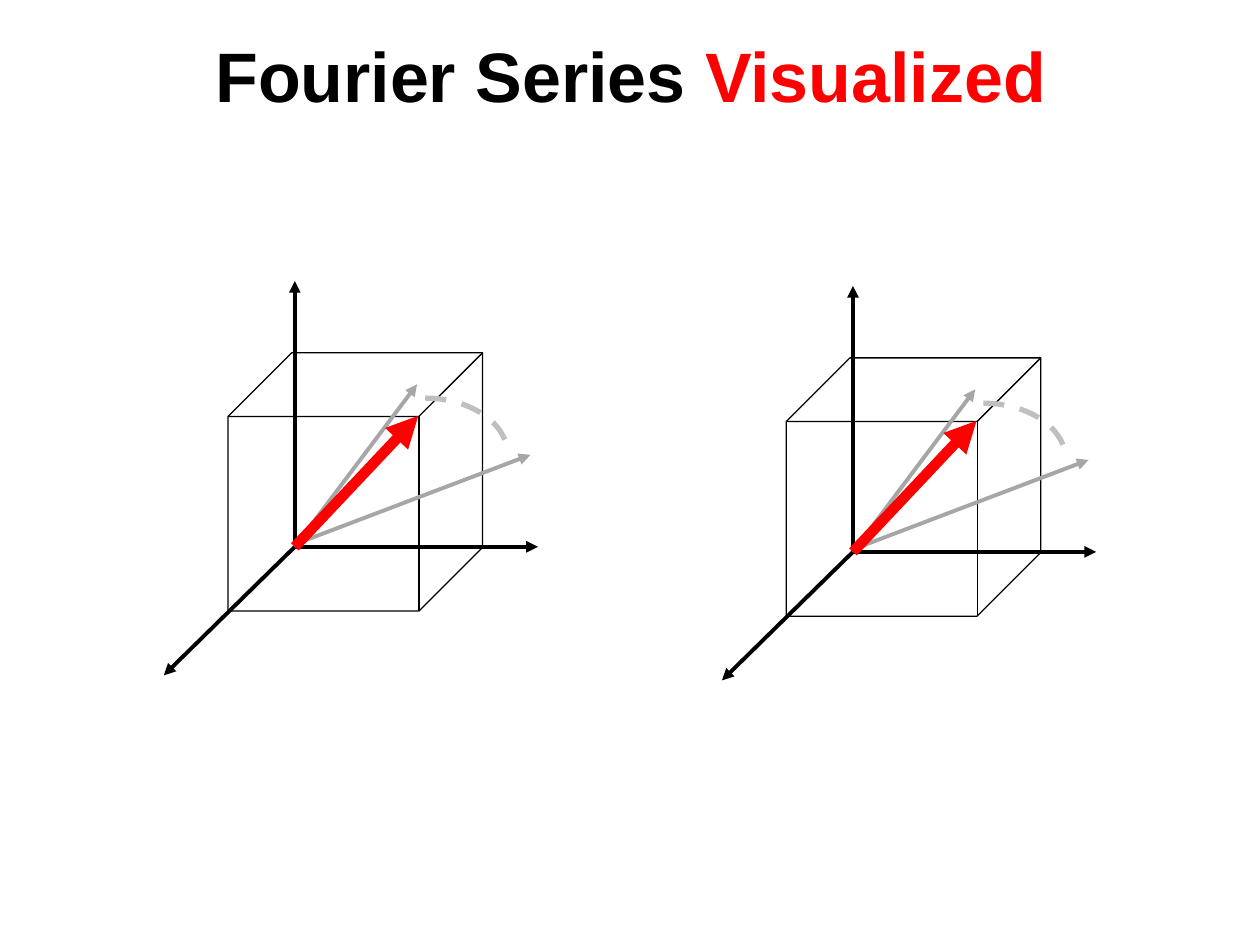
from dataclasses import dataclass

from lxml.etree import SubElement
from pptx import Presentation
from pptx.dml.color import RGBColor
from pptx.enum.dml import MSO_LINE
from pptx.enum.shapes import MSO_CONNECTOR, MSO_SHAPE
from pptx.enum.text import MSO_ANCHOR, PP_ALIGN
from pptx.oxml.ns import qn
from pptx.util import Inches, Pt


@dataclass(frozen=True)
class Theme:
    font: str = "Arial"
    title_size: int = 40
    ink: str = "000000"
    accent: str = "FF0000"
    ghost: str = "A6A6A6"
    sweep: str = "BFBFBF"
    thin: float = 0.75
    axis: float = 2.25
    dashed: float = 3
    bold: float = 6


THEME = Theme()


def add_span(para, text, color, size=THEME.title_size, bold=True):
    span = para.add_run()
    span.text = text
    span.font.name = THEME.font
    span.font.size = Pt(size)
    span.font.bold = bold
    span.font.color.rgb = RGBColor.from_string(color)


def style_line(line, color, width):
    line.color.rgb = RGBColor.from_string(color)
    line.width = Pt(width)


def add_arrow(page, start, end, color, width):
    points = [Inches(value) for value in (*start, *end)]
    arrow = page.shapes.add_connector(MSO_CONNECTOR.STRAIGHT, *points)
    style_line(arrow.line, color, width)
    SubElement(arrow.line._get_or_add_ln(), qn("a:tailEnd"), type="triangle")
    SubElement(arrow._element.spPr, qn("a:effectLst"))


def add_outline(page, preset, left, top, width, height, color, weight):
    box = [Inches(value) for value in (left, top, width, height)]
    shape = page.shapes.add_shape(preset, *box)
    shape.shadow.inherit = False
    shape.fill.background()
    style_line(shape.line, color, weight)
    return shape


def add_title(page, left, top, width, height):
    title = page.shapes.title
    title.left, title.top = Inches(left), Inches(top)
    title.width, title.height = Inches(width), Inches(height)
    title.text_frame.vertical_anchor = MSO_ANCHOR.MIDDLE
    para = title.text_frame.paragraphs[0]
    para.alignment = PP_ALIGN.CENTER
    para.line_spacing = 0.9
    add_span(para, "Fourier Series ", THEME.ink)
    add_span(para, "Visualized", THEME.accent)


def add_vector_space(page, left, top):
    """Draw a cube on three axes, with a vector turning between two ghosts."""
    def at(across, down):
        return left + across, top + down

    origin = at(1.04, 2.11)
    add_outline(page, MSO_SHAPE.CUBE, *at(0.51, 0.57), 2.02, 2.05,
                THEME.ink, THEME.thin)
    for tip in (at(1.04, 0), at(2.97, 2.11), at(0, 3.13)):
        add_arrow(page, origin, tip, THEME.ink, THEME.axis)

    add_arrow(page, origin, at(2.01, 0.82), THEME.ghost, THEME.axis)
    add_arrow(page, at(1.04, 2.09), at(2.91, 1.38), THEME.ghost, THEME.axis)
    arc = add_outline(page, MSO_SHAPE.ARC, *at(1.42, 0.93), 1.31, 0.9,
                      THEME.sweep, THEME.dashed)
    arc.line.dash_style = MSO_LINE.DASH
    add_arrow(page, origin, at(2.02, 1.07), THEME.accent, THEME.bold)


def main():
    deck = Presentation()
    deck.slide_width, deck.slide_height = Inches(10), Inches(7.5)
    page = deck.slides.add_slide(deck.slide_layouts[5])
    add_title(page, 0.17, 0.17, 9.67, 0.92)
    for left, top in ((1.3, 2.23), (5.73, 2.27)):
        add_vector_space(page, left, top)
    deck.save("out.pptx")


if __name__ == "__main__":
    main()
